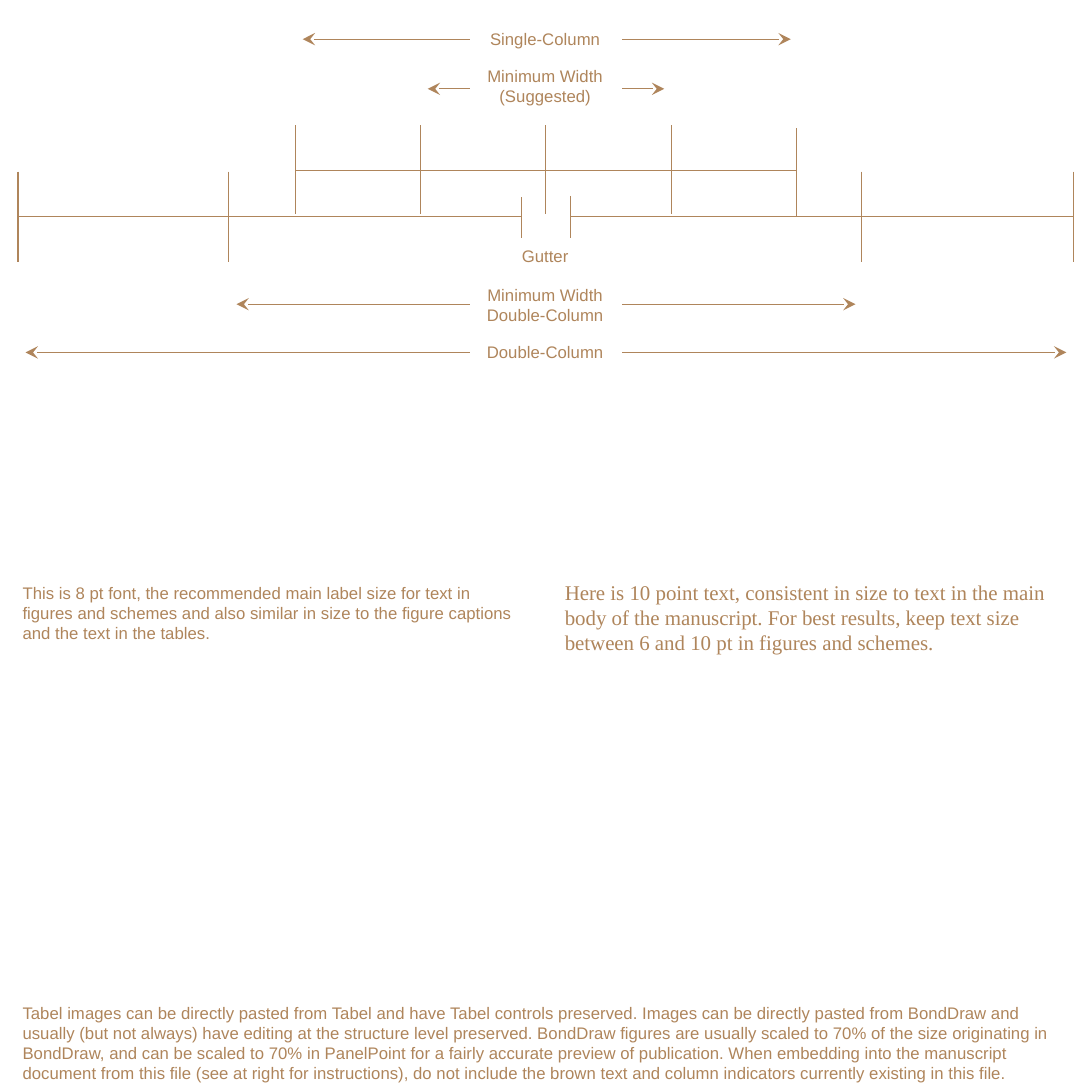
import pptx
import pptx.dml.color
import pptx.enum.shapes
import pptx.enum.text
import pptx.oxml
import pptx.oxml.ns
import pptx.util
from pptx.util import Inches

ALIGN = pptx.enum.text.PP_ALIGN


def color(hex_string):
    return pptx.dml.color.RGBColor.from_string(hex_string)


class Guide:
    brown = "AF855B"
    line_width = 0.5

    def __init__(self, slide):
        self.slide = slide

    def line(self, x1, y1, x2, y2, arrow=False):
        rule = self.slide.shapes.add_connector(
            pptx.enum.shapes.MSO_CONNECTOR.STRAIGHT,
            Inches(x1), Inches(y1), Inches(x2), Inches(y2))
        rule.line.color.rgb = color(self.brown)
        rule.line.width = pptx.util.Pt(self.line_width)
        properties = rule.line._get_or_add_ln()
        if arrow:
            properties.append(pptx.oxml.parse_xml(
                f'<a:tailEnd {pptx.oxml.ns.nsdecls("a")} type="stealth"/>'))
        properties.addnext(pptx.oxml.parse_xml(
            f'<a:effectLst {pptx.oxml.ns.nsdecls("a")}/>'))

    def text(self, left, top, width, height, paragraphs,
             size=8, font="Arial", align=ALIGN.LEFT):
        box = self.slide.shapes.add_textbox(
            Inches(left), Inches(top), Inches(width), Inches(height))
        frame_format = {
            "margin_left": 0, "margin_right": 0,
            "margin_top": Inches(0.05), "margin_bottom": Inches(0.05),
            "word_wrap": True,
            "auto_size": pptx.enum.text.MSO_AUTO_SIZE.SHAPE_TO_FIT_TEXT,
        }
        for name, value in frame_format.items():
            setattr(box.text_frame, name, value)
        box.text_frame.text = "\n".join(paragraphs)
        for paragraph in box.text_frame.paragraphs:
            paragraph.alignment = align
            for run in paragraph.runs:
                run.font.size = pptx.util.Pt(size)
                run.font.name = font
                run.font.color.rgb = color(self.brown)

    def label(self, top, height, *paragraphs):
        self.text(3.12, top, 1, height, paragraphs, align=ALIGN.CENTER)

    def span(self, y, left_tip, right_tip):
        """Draw the two arrows that run outwards from a label."""
        self.line(3.12, y, left_tip, y, arrow=True)
        self.line(4.13, y, right_tip, y, arrow=True)


def main():
    deck = pptx.Presentation()
    deck.slide_width = deck.slide_height = Inches(7.25)
    guide = Guide(deck.slides.add_slide(deck.slide_layouts[6]))

    guide.text(0.15, 3.82, 3.33, 0.5, [
        "This is 8 pt font, the recommended main label size for text in "
        "figures and schemes and also similar in size to the figure captions "
        "and the text in the tables."])
    guide.text(3.75, 3.8, 3.33, 0.61, [
        "Here is 10 point text, consistent in size to text in the main body "
        "of the manuscript. For best results, keep text size between 6 and "
        "10 pt in figures and schemes."], size=10, font="Times New Roman")
    guide.text(0.15, 6.61, 6.93, 0.64, [
        "Tabel images can be directly pasted from Tabel and have Tabel "
        "controls preserved. Images can be directly pasted from BondDraw and "
        "usually (but not always) have editing at the structure level "
        "preserved. BondDraw figures are usually scaled to 70% of the size "
        "originating in BondDraw, and can be scaled to 70% in PanelPoint for "
        "a fairly accurate preview of publication. When embedding into the "
        "manuscript document from this file (see at right for instructions), "
        "do not include the brown text and column indicators currently "
        "existing in this file."])

    # Double-column scale, split by the gutter
    for start, end in ((0.12, 3.46), (3.79, 7.13)):
        guide.line(start, 1.44, end, 1.44)
    for x in (0.12, 1.52, 5.72, 7.13):
        guide.line(x, 1.14, x, 1.74)
    for x, top in ((3.46, 1.31), (3.79, 1.3)):
        guide.line(x, top, x, 1.58)

    # Single-column scale
    guide.line(1.96, 1.13, 5.29, 1.13)
    for x, top in ((1.96, 0.83), (2.79, 0.83), (3.62, 0.83),
                   (4.46, 0.83), (5.29, 0.85)):
        guide.line(x, top, x, top + 0.59)

    guide.label(0.14, 0.24, "Single-Column")
    guide.label(0.39, 0.37, "Minimum Width", "(Suggested)")
    guide.label(1.58, 0.24, "Gutter")
    guide.label(1.84, 0.37, "Minimum Width", "Double-Column")
    guide.label(2.22, 0.24, "Double-Column")

    for y, left_tip, right_tip in ((0.26, 2.01, 5.25), (0.59, 2.84, 4.41),
                                   (2.02, 1.57, 5.68), (2.34, 0.17, 7.08)):
        guide.span(y, left_tip, right_tip)

    deck.save("out.pptx")


if __name__ == "__main__":
    main()
